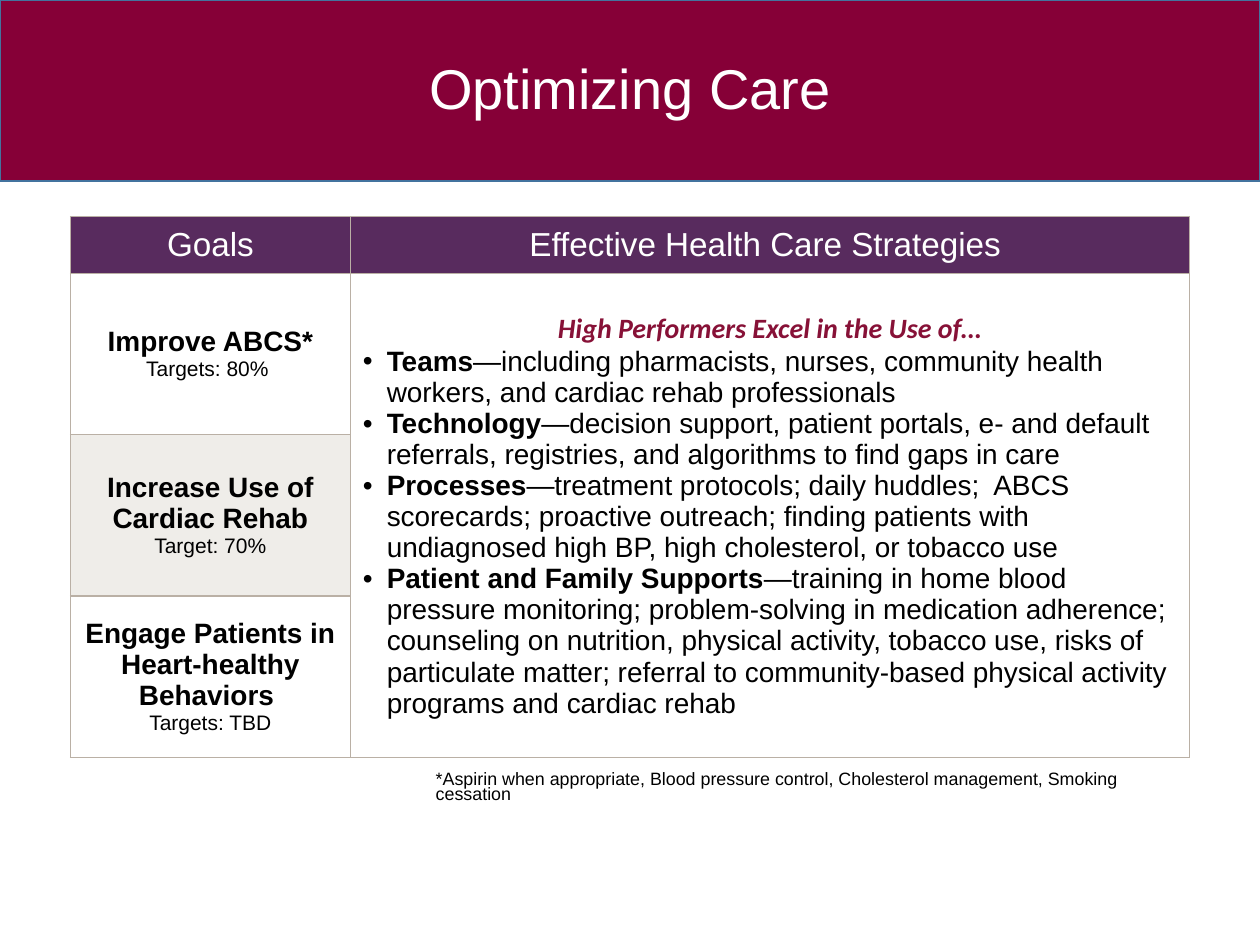
import pptx
import pptx.dml.color
import pptx.enum.shapes
import pptx.enum.text
import pptx.oxml
import pptx.oxml.ns
import pptx.util

THEME = {
    "font": "Arial", "accent_font": "Calibri",
    "banner": "860037", "banner_line": "43739E", "header": "582B5E",
    "shade": "EFEDE9", "border": "BAB0A5", "accent": "871137",
    "light": "FFFFFF", "dark": "000000",
    "title": 32, "heading": 19, "body": 16, "target": 12, "note": 10.2,
}
GOALS = [
    ("Improve ABCS*", "Targets: 80% "),
    ("Increase Use of Cardiac Rehab", "Target: 70%"),
    ("Engage Patients in Heart-healthy Behaviors ", "Targets: TBD"),
]
STRATEGIES = [
    ("Teams", "—including pharmacists, nurses, community health workers, "
     "and cardiac rehab professionals"),
    ("Technology", "—decision support, patient portals, e- and default referrals, "
     "registries, and algorithms to find gaps in care"),
    ("Processes", "—treatment protocols; daily huddles;  ABCS scorecards; proactive "
     "outreach; finding patients with undiagnosed high BP, high cholesterol, or tobacco use"),
    ("Patient and Family Supports", "—training in home blood pressure monitoring; "
     "problem-solving in medication adherence; counseling on nutrition, physical activity, "
     "tobacco use, risks of particulate matter; referral to community-based physical "
     "activity programs and cardiac rehab"),
]
CENTER = pptx.enum.text.PP_ALIGN.CENTER
MIDDLE = pptx.enum.text.MSO_ANCHOR.MIDDLE


def color(name):
    return pptx.dml.color.RGBColor.from_string(THEME[name])


def style(run, size, ink="dark", font="font", bold=False, italic=False):
    run.font.size = pptx.util.Pt(THEME[size])
    run.font.name = THEME[font]
    run.font.color.rgb = color(ink)
    run.font.bold = bold
    run.font.italic = italic


presentation = pptx.Presentation()
presentation.slide_width = pptx.util.Inches(10)
presentation.slide_height = pptx.util.Inches(7.5)
slide = presentation.slides.add_slide(presentation.slide_layouts[5])
inch = pptx.util.Inches(1)

# Title
title = slide.shapes.title
title.left, title.top = int(0.69 * inch), 0
title.width, title.height = int(8.62 * inch), int(1.45 * inch)
title.text_frame.text = "Optimizing Care"
title.text_frame.vertical_anchor = MIDDLE
paragraph = title.text_frame.paragraphs[0]
paragraph.alignment = CENTER
paragraph.line_spacing = 0.9
style(paragraph.runs[0], "title", "light")

# Banner behind the title
banner = slide.shapes.add_shape(
    pptx.enum.shapes.MSO_SHAPE.RECTANGLE, 0, 0,
    presentation.slide_width, int(1.44 * inch))
banner.shadow.inherit = False
banner.fill.solid()
banner.fill.fore_color.rgb = color("banner")
banner.line.color.rgb = color("banner_line")
banner.line.width = pptx.util.Pt(1)
title.element.addprevious(banner.element)

# Table grid: the strategies column is three times the goals column
column_width, header_height, row_height = 2.22, 0.45, 1.28
table = slide.shapes.add_table(
    len(GOALS) + 1, 2, int(0.56 * inch), int(1.72 * inch),
    int(4 * column_width * inch),
    int((header_height + len(GOALS) * row_height) * inch)).table
table.first_row = table.horz_banding = False
for column, share in zip(table.columns, (1, 3)):
    column.width = int(share * column_width * inch)
for index, row in enumerate(table.rows):
    row.height = int((row_height if index else header_height) * inch)
table.cell(1, 1).merge(table.cell(len(GOALS), 1))

# Cell borders and fills
for index, row in enumerate(table.rows):
    for column, cell in enumerate(row.cells):
        cell.vertical_anchor = MIDDLE
        properties = cell._tc.get_or_add_tcPr()
        for side in ("lnL", "lnR", "lnT", "lnB"):
            properties.append(pptx.oxml.parse_xml(
                f'<a:{side} {pptx.oxml.ns.nsdecls("a")} w="{pptx.util.Pt(0.75)}">'
                f'<a:solidFill><a:srgbClr val="{THEME["border"]}"/></a:solidFill>'
                f'</a:{side}>'))
        cell.fill.solid()
        fill = "header" if index == 0 else "shade" if (index, column) == (2, 0) else "light"
        cell.fill.fore_color.rgb = color(fill)

# Header row
for column, heading in enumerate(("Goals", "Effective Health Care Strategies ")):
    text_frame = table.cell(0, column).text_frame
    text_frame.text = heading
    text_frame.paragraphs[0].alignment = CENTER
    style(text_frame.paragraphs[0].runs[0], "heading", "light")

# Goals with their targets
for index, goal in enumerate(GOALS, 1):
    text_frame = table.cell(index, 0).text_frame
    text_frame.text = "\n".join(goal)
    for paragraph, size in zip(text_frame.paragraphs, ("body", "target")):
        paragraph.alignment = CENTER
        style(paragraph.runs[0], size, bold=size == "body")

# Strategies
text_frame = table.cell(1, 1).text_frame
text_frame.text = "High Performers Excel in the Use of…"
text_frame.paragraphs[0].alignment = CENTER
style(text_frame.paragraphs[0].runs[0], "body", "accent", "accent_font", True, True)
for lead, detail in STRATEGIES:
    paragraph = text_frame.add_paragraph()
    properties = paragraph._p.get_or_add_pPr()
    properties.set("marL", str(int(0.19 * inch)))
    properties.set("indent", str(int(-0.19 * inch)))
    properties.append(pptx.oxml.parse_xml(
        f'<a:buFont {pptx.oxml.ns.nsdecls("a")} typeface="{THEME["font"]}"/>'))
    properties.append(pptx.oxml.parse_xml(
        f'<a:buChar {pptx.oxml.ns.nsdecls("a")} char="•"/>'))
    for words, bold in ((lead, True), (detail, False)):
        run = paragraph.add_run()
        run.text = words
        style(run, "body", bold=bold)

# Footnote
footnote = slide.shapes.add_textbox(
    int(3.36 * inch), int(6.09 * inch), int(6.21 * inch), int(0.22 * inch))
footnote.text_frame.word_wrap = True
footnote.text_frame.text = ("*Aspirin when appropriate, Blood pressure control, "
                            "Cholesterol management, Smoking cessation")
paragraph = footnote.text_frame.paragraphs[0]
paragraph.line_spacing = 0.7
style(paragraph.runs[0], "note")

presentation.save("out.pptx")
